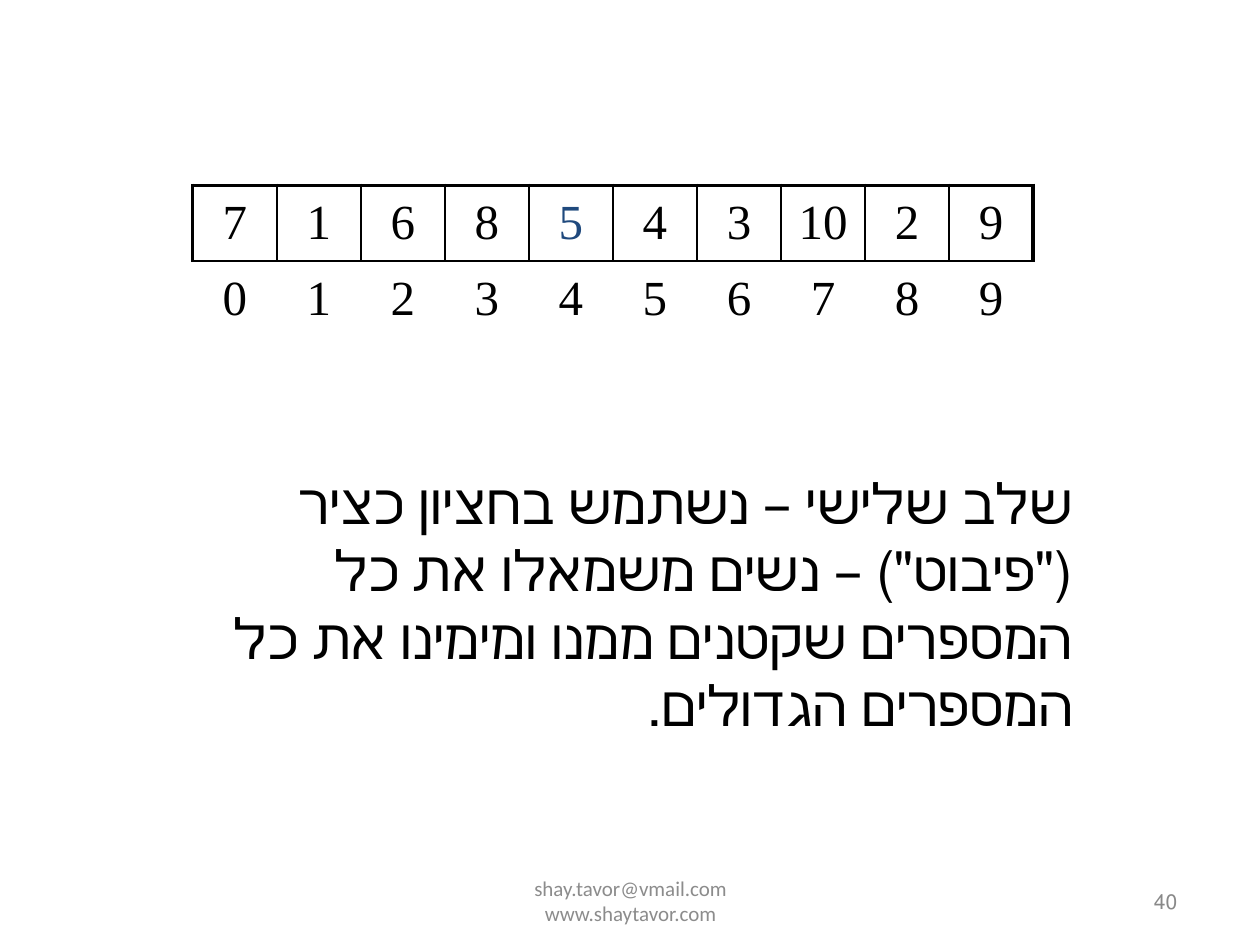
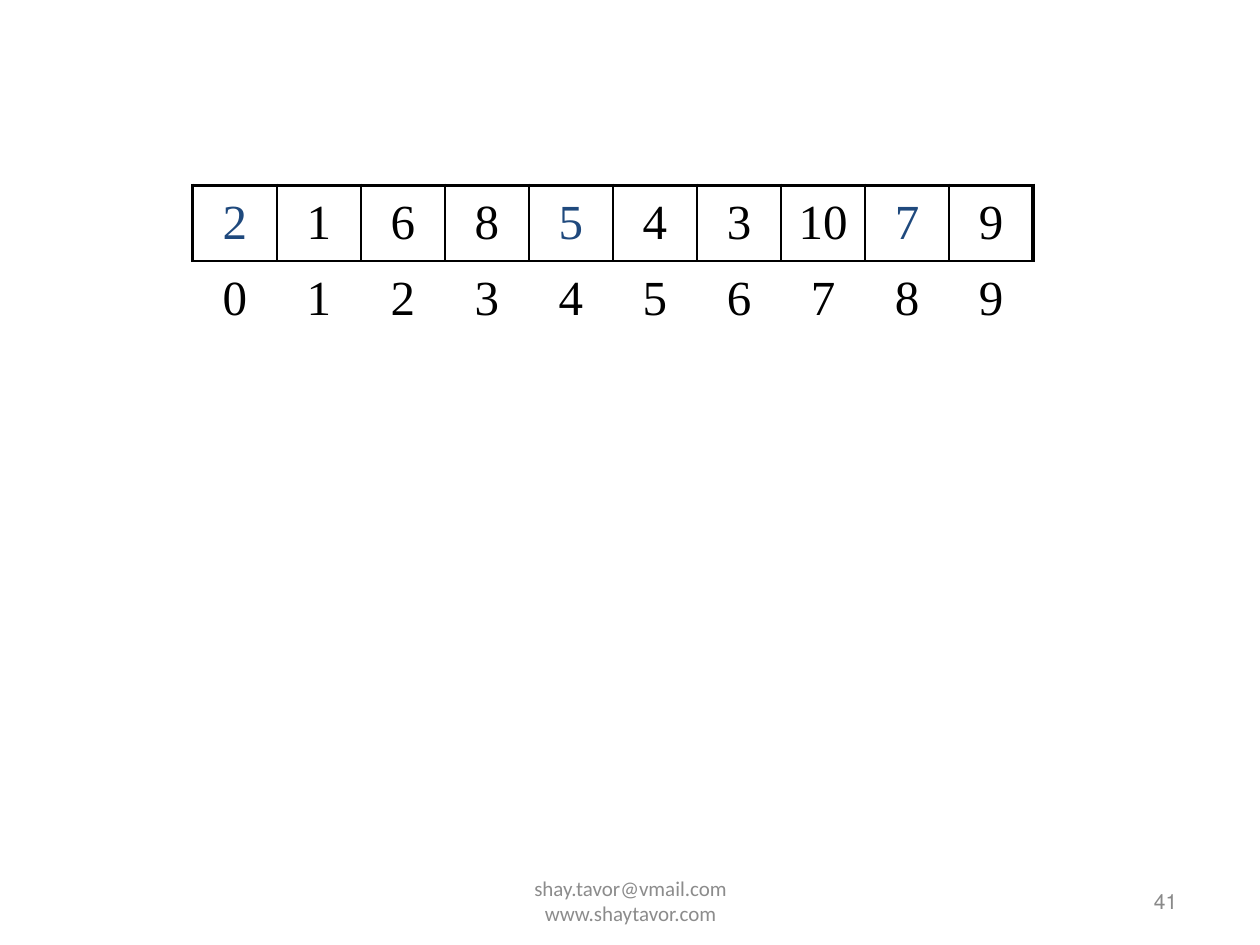
from dataclasses import dataclass

from lxml.etree import SubElement
from pptx import Presentation
from pptx.dml.color import RGBColor
from pptx.enum.text import MSO_ANCHOR, MSO_AUTO_SIZE, PP_ALIGN
from pptx.oxml.ns import qn
from pptx.util import Inches, Pt


@dataclass(frozen=True)
class Theme:
    ink: str = "000000"
    accent: str = "1F497D"
    footer: str = "8C8C8C"
    number: str = "898989"
    serif: str = "Times New Roman"
    sans: str = "Calibri"
    body_size: int = 32
    cell_size: int = 28
    footer_size: int = 12
    thin: float = 1
    thick: float = 2.25


THEME = Theme()
WIDTH, HEIGHT = 10, 7.5

# Regions: left, top, width, height in inches
ARRAY_BOX = (1.53, 1.47, 6.67, 1.2)
BODY_BOX = (0.98, 3.67, 7.64, 1.7)
FOOTER_BOX = (3.42, 6.95, 3.17, 0.4)
NUMBER_BOX = (9.06, 6.95, 0.44, 0.4)

CONTACT = "shay.tavor@vmail.com\vwww.shaytavor.com"
PIVOT_STEP = (
    'שלב שלישי – נשתמש בחציון כציר ("פיבוט") – נשים משמאלו את כל '
    "המספרים שקטנים ממנו ומימינו את כל המספרים הגדולים."
)

# Each slide: page number, array values, highlighted positions, explanation
STEPS = [
    (40, (7, 1, 6, 8, 5, 4, 3, 10, 2, 9), {4}, PIVOT_STEP),
    (41, (2, 1, 6, 8, 5, 4, 3, 10, 7, 9), {0, 4, 8}, None),
]


def style_text(tf, text, size, font, color, align):
    tf.text = text
    p = tf.paragraphs[0]
    p.alignment = align
    for r in p.runs:
        r.font.size = Pt(size)
        r.font.name = font
        r.font.color.rgb = RGBColor.from_string(color)
    return p


def add_rtl_text(s, box, text, size, font, color, align, anchor=MSO_ANCHOR.MIDDLE):
    tf = s.shapes.add_textbox(*map(Inches, box)).text_frame
    tf.word_wrap = True
    tf.vertical_anchor = anchor
    p = style_text(tf, text, size, font, color, align)
    p._p.get_or_add_pPr().set("rtl", "1")
    return tf


def set_borders(cell, widths):
    """Draw the left, right, top and bottom borders; a width of 0 hides one."""
    tc_pr = cell._tc.get_or_add_tcPr()
    for side, width in zip(("lnL", "lnR", "lnT", "lnB"), widths):
        ln = SubElement(tc_pr, qn(f"a:{side}"), w=str(Pt(width)))
        if width:
            fill = SubElement(ln, qn("a:solidFill"))
            SubElement(fill, qn("a:srgbClr"), val=THEME.ink)
        else:
            SubElement(ln, qn("a:noFill"))


def add_array(s, box, values, highlighted):
    """Show the values in framed cells with their indices underneath."""
    rows = (values, range(len(values)))
    left, top, width, height = map(Inches, box)
    table = s.shapes.add_table(len(rows), len(values), left, top, width, height).table
    table.first_row = table.horz_banding = False
    last = len(values) - 1
    for i, row in enumerate(rows):
        for j, value in enumerate(row):
            cell = table.cell(i, j)
            if i == 0:
                widths = (
                    THEME.thick if j == 0 else THEME.thin,
                    THEME.thick if j == last else THEME.thin,
                    THEME.thick,
                    THEME.thin,
                )
            else:
                widths = (0, 0, THEME.thin, 0)
            set_borders(cell, widths)
            cell.fill.background()
            cell.vertical_anchor = MSO_ANCHOR.MIDDLE
            color = THEME.accent if i == 0 and j in highlighted else THEME.ink
            style_text(cell.text_frame, str(value), THEME.cell_size, THEME.serif,
                       color, PP_ALIGN.CENTER)


def add_footer(s, number):
    add_rtl_text(s, FOOTER_BOX, CONTACT, THEME.footer_size, THEME.sans,
                 THEME.footer, PP_ALIGN.CENTER)
    add_rtl_text(s, NUMBER_BOX, str(number), THEME.footer_size, THEME.sans,
                 THEME.number, PP_ALIGN.LEFT)


def add_step_slide(prs, number, values, highlighted, explanation):
    s = prs.slides.add_slide(prs.slide_layouts[6])
    add_array(s, ARRAY_BOX, values, highlighted)
    if explanation:
        tf = add_rtl_text(s, BODY_BOX, explanation, THEME.body_size, THEME.serif,
                          THEME.ink, PP_ALIGN.RIGHT, MSO_ANCHOR.TOP)
        tf.auto_size = MSO_AUTO_SIZE.SHAPE_TO_FIT_TEXT
    add_footer(s, number)


def main():
    prs = Presentation()
    prs.slide_width, prs.slide_height = Inches(WIDTH), Inches(HEIGHT)
    for step in STEPS:
        add_step_slide(prs, *step)
    prs.save("out.pptx")


if __name__ == "__main__":
    main()
